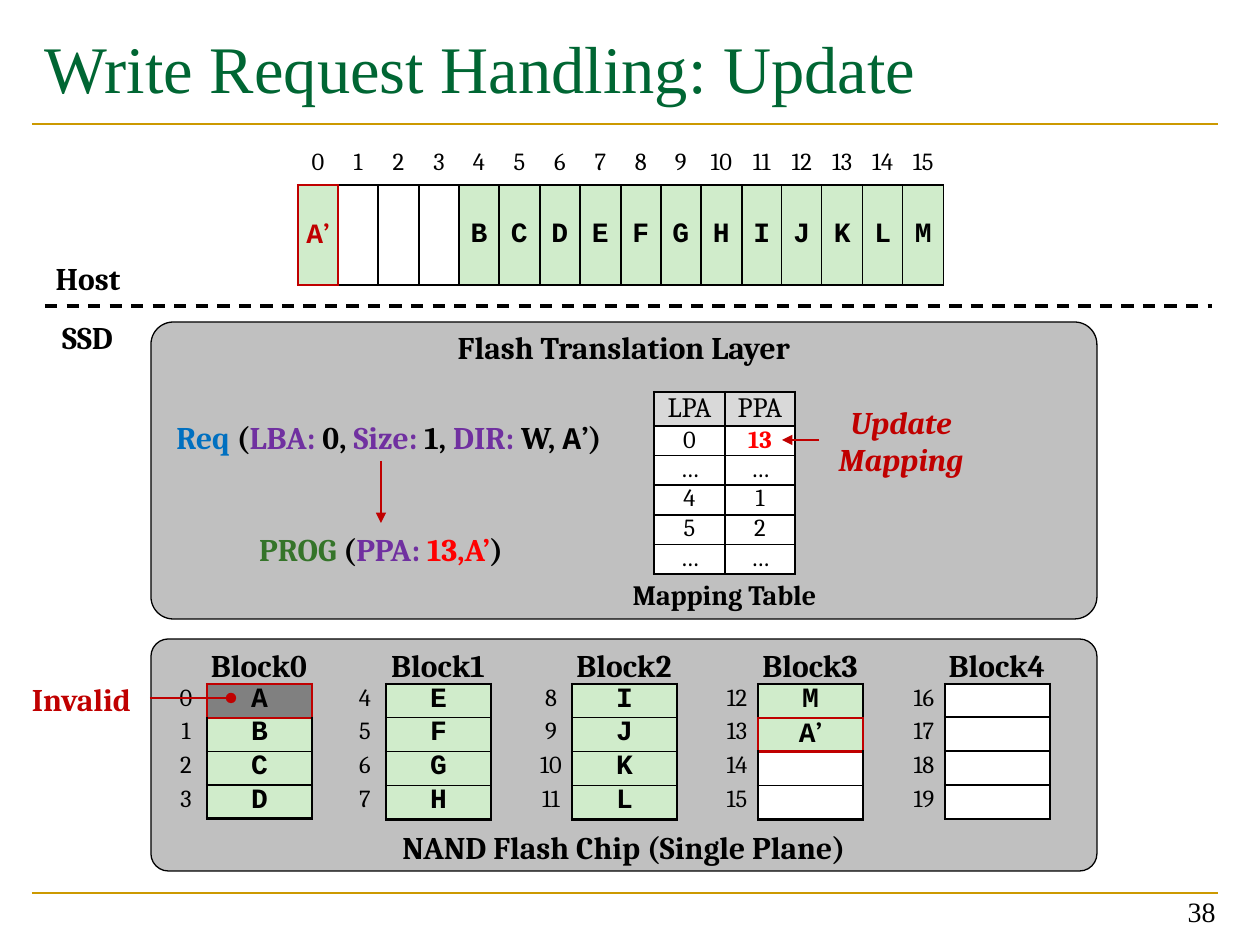
from dataclasses import dataclass
from typing import Optional

from pptx import Presentation
from pptx.dml.color import RGBColor
from pptx.enum.dml import MSO_LINE
from pptx.enum.shapes import MSO_CONNECTOR, MSO_SHAPE
from pptx.enum.text import MSO_ANCHOR, MSO_AUTO_SIZE, PP_ALIGN
from pptx.oxml.ns import qn
from pptx.util import Emu, Pt
from lxml import etree

TOP, MIDDLE, BOTTOM = MSO_ANCHOR.TOP, MSO_ANCHOR.MIDDLE, MSO_ANCHOR.BOTTOM
LEFT, CENTER, RIGHT = PP_ALIGN.LEFT, PP_ALIGN.CENTER, PP_ALIGN.RIGHT

BLACK = RGBColor(0x00, 0x00, 0x00)
WHITE = RGBColor(0xFF, 0xFF, 0xFF)
GOLD = RGBColor(0xCC, 0x99, 0x00)
TITLE_GREEN = RGBColor(0x00, 0x66, 0x33)
DARK_RED = RGBColor(0xC0, 0x00, 0x00)
RED = RGBColor(0xFF, 0x00, 0x00)
BLUE = RGBColor(0x00, 0x70, 0xC0)
PURPLE = RGBColor(0x70, 0x30, 0xA0)
PROG_GREEN = RGBColor(0x35, 0x74, 0x2A)
VALID = RGBColor(0xD0, 0xEC, 0xCB)
INVALID = RGBColor(0x80, 0x80, 0x80)
PANEL = RGBColor(0xC0, 0xC0, 0xC0)
HEADER = RGBColor(0xD9, 0xD9, 0xD9)

SERIF, MONO, TIMES = "Cambria", "Courier New", "Times New Roman"
SLIDE_W, SLIDE_H = 1260, 945


def px(n: int) -> Emu:
    return Emu(round(n * 914400 / 126))


def split(total: int, n: int) -> list[int]:
    """Share a length between n tracks in whole px."""
    return [total * (i + 1) // n - total * i // n for i in range(n)]


@dataclass
class Run:
    text: str
    color: RGBColor = BLACK
    font: str = SERIF
    size: int = 18
    bold: bool = True
    italic: bool = False


@dataclass
class Cell:
    runs: list[Run]
    fill: Optional[RGBColor] = None
    bordered: bool = True
    marked: bool = False


def write(p, runs: list[Run], align=CENTER) -> None:
    p.alignment = align
    for run in runs:
        if run.text == "\n":
            p.add_line_break()
            continue
        r = p.add_run()
        r.text = run.text
        f = r.font
        f.name, f.size, f.bold, f.italic = run.font, Pt(run.size), run.bold, run.italic
        f.color.rgb = run.color


def add_text(s, x: int, y: int, w: int, h: int, runs: list[Run],
             align=CENTER, anchor=MIDDLE, wrap: bool = False) -> None:
    tf = s.shapes.add_textbox(px(x), px(y), px(w), px(h)).text_frame
    tf.word_wrap = wrap
    tf.vertical_anchor = anchor
    write(tf.paragraphs[0], runs, align)


def add_panel(s, y: int, h: int, label: str, anchor) -> None:
    sp = s.shapes.add_shape(MSO_SHAPE.ROUNDED_RECTANGLE, px(151), px(y), px(946), px(h))
    sp.adjustments[0] = 0.075
    sp.shadow.inherit = False
    sp.fill.solid()
    sp.fill.fore_color.rgb = PANEL
    sp.line.color.rgb = BLACK
    sp.line.width = Pt(0.75)
    tf = sp.text_frame
    tf.margin_left = tf.margin_top = tf.margin_right = tf.margin_bottom = 0
    tf.vertical_anchor = anchor
    write(tf.paragraphs[0], [Run(label)])


def add_line(s, x1: int, y1: int, x2: int, y2: int, color: RGBColor,
             width: float, dash=None, end: str = "") -> None:
    c = s.shapes.add_connector(MSO_CONNECTOR.STRAIGHT, px(x1), px(y1), px(x2), px(y2))
    c.line.color.rgb = color
    c.line.width = Pt(width)
    if dash:
        c.line.dash_style = dash
    if end:
        etree.SubElement(c.line._get_or_add_ln(), qn("a:tailEnd"), type=end)
    etree.SubElement(c._element.spPr, qn("a:effectLst"))


def border(tcPr, side: str, color: Optional[RGBColor], width: float) -> None:
    ln = etree.SubElement(tcPr, qn(f"a:ln{side}"), w=str(Pt(width)))
    if color is None:
        etree.SubElement(ln, qn("a:noFill"))
    else:
        fill = etree.SubElement(ln, qn("a:solidFill"))
        etree.SubElement(fill, qn("a:srgbClr"), val=str(color))


def add_grid(s, x: int, y: int, widths: list[int], heights: list[int],
             rows: list[list[Cell]], anchor=TOP, outer: float = 1.5) -> None:
    """Draw a table; an edge is red if a marked cell touches it, thicker outside."""
    tbl = s.shapes.add_table(len(heights), len(widths), px(x), px(y),
                             px(sum(widths)), px(sum(heights))).table
    tbl.first_row = tbl.horz_banding = False
    for column, w in zip(tbl.columns, widths):
        column.width = px(w)
    for row, h in zip(tbl.rows, heights):
        row.height = px(h)
    for i, row in enumerate(rows):
        for j, item in enumerate(row):
            cell = tbl.cell(i, j)
            cell.margin_left = cell.margin_top = cell.margin_right = cell.margin_bottom = 0
            cell.vertical_anchor = anchor
            p = cell.text_frame.paragraphs[0]
            write(p, item.runs)
            if not item.runs:
                etree.SubElement(p._p, qn("a:endParaRPr"), sz="1400")
            tcPr = cell._tc.get_or_add_tcPr()
            for side, di, dj in (("L", 0, -1), ("R", 0, 1), ("T", -1, 0), ("B", 1, 0)):
                ni, nj = i + di, j + dj
                inside = 0 <= ni < len(rows) and 0 <= nj < len(row)
                pair = [item, rows[ni][nj]] if inside else [item]
                if any(c.marked for c in pair):
                    border(tcPr, side, DARK_RED, 1.5)
                elif any(c.bordered for c in pair):
                    border(tcPr, side, BLACK, 1 if inside else outer)
                else:
                    border(tcPr, side, None, 1)
            if item.fill is None:
                cell.fill.background()
            else:
                cell.fill.solid()
                cell.fill.fore_color.rgb = item.fill


def index_cell(n: int, fill: Optional[RGBColor] = None) -> Cell:
    return Cell([Run(str(n), size=14, bold=False)], fill, bordered=False)


def page_cell(data: str, color: RGBColor = BLACK) -> Cell:
    """A page: white when empty, red-edged when just updated."""
    runs = [Run(ch, color, SERIF if ch == "’" else MONO, 16) for ch in data]
    return Cell(runs, VALID if data else WHITE, marked="’" in data)


def main() -> None:
    prs = Presentation()
    prs.slide_width, prs.slide_height = px(SLIDE_W), px(SLIDE_H)
    s = prs.slides.add_slide(prs.slide_layouts[5])

    # Rules, title and slide number
    for y in (893, 124):
        add_line(s, 32, y, 1218, y, GOLD, 1.5)
    title = s.shapes.title
    title.left, title.top, title.width, title.height = px(32), px(21), px(1187), px(147)
    tf = title.text_frame
    tf.auto_size = MSO_AUTO_SIZE.NONE
    tf.vertical_anchor = TOP
    write(tf.paragraphs[0], [Run("Write Request Handling: Update", TITLE_GREEN, TIMES, 38, False)], LEFT)
    add_text(s, 934, 871, 294, 63, [Run("38", BLACK, TIMES, 16, False)], RIGHT, BOTTOM)

    # SSD panels
    add_panel(s, 639, 232, "NAND Flash Chip (Single Plane)", BOTTOM)
    add_panel(s, 322, 297, "Flash Translation Layer", TOP)

    # Flash blocks with their page numbers
    blocks = [(207, ["A", "B", "C", "D"]), (386, ["E", "F", "G", "H"]),
              (572, ["I", "J", "K", "L"]), (758, ["M", "A’", "", ""]),
              (945, ["", "", "", ""])]
    for b, (x, pages) in enumerate(blocks):
        cells = [[page_cell(data)] for data in pages]
        height = 135
        if b == 0:
            cells[0][0].fill, cells[0][0].marked = INVALID, True
            height = 128
        add_grid(s, x, 684, [105], split(height, 4), cells)
        add_grid(s, x - 41, 684, [40], split(135, 4),
                 [[index_cell(4 * b + i)] for i in range(4)])
        add_text(s, x - 11, 639, 126, 51, [Run(f"Block{b}")])

    # Host address space
    host = ["A’", "", "", "", *"BCDEFGHIJKLM"]
    host_row = [page_cell(data, DARK_RED if data == "A’" else BLACK) for data in host]
    add_grid(s, 298, 139, split(646, 16), [46, 100],
             [[index_cell(i, WHITE) for i in range(16)], host_row], MIDDLE, outer=1)

    # Host / SSD boundary
    add_line(s, 45, 306, 1212, 306, BLACK, 1.75, MSO_LINE.DASH)
    add_text(s, 41, 252, 94, 51, [Run("Host")])
    add_text(s, 47, 311, 81, 51, [Run("SSD")])

    # Request and resulting program command
    add_text(s, 110, 411, 558, 51, [
        Run("Req ", BLUE), Run("("), Run("LBA:", PURPLE), Run(" 0, "),
        Run("Size:", PURPLE), Run(" 1, "), Run("DIR:", PURPLE), Run(" W, "),
        Run("A", font=MONO), Run("’)")], wrap=True)
    add_text(s, 190, 523, 382, 51, [
        Run("PROG ", PROG_GREEN), Run("("), Run("PPA: ", PURPLE),
        Run("13,A’", RED), Run(")")], wrap=True)
    add_line(s, 381, 461, 381, 523, DARK_RED, 1.25, end="triangle")

    # Mapping table
    mapping = [("0", "13"), ("…", "…"), ("4", "1"), ("5", "2"), ("…", "…")]
    rows = [[Cell([Run(name, size=16, bold=False)], HEADER) for name in ("LPA", "PPA")]]
    for pair in mapping:
        rows.append([Cell([Run(v, size=14, bold=False)], WHITE) for v in pair])
    updated = rows[1][1].runs[0]
    updated.color, updated.bold = RED, True
    add_grid(s, 654, 392, [71, 70], [34] + split(147, 5), rows)
    add_text(s, 616, 571, 217, 47, [Run("Mapping Table", size=16)])

    # Callouts
    add_text(s, 14, 673, 135, 51, [Run("Invalid", DARK_RED)], wrap=True)
    add_line(s, 150, 698, 231, 698, DARK_RED, 1.25, end="oval")
    add_line(s, 819, 440, 782, 440, DARK_RED, 1.25, end="triangle")
    add_text(s, 809, 396, 184, 89, [Run("Update", DARK_RED, italic=True), Run("\n"),
                                    Run("Mapping", DARK_RED, italic=True)], wrap=True)

    prs.save("out.pptx")


if __name__ == "__main__":
    main()
